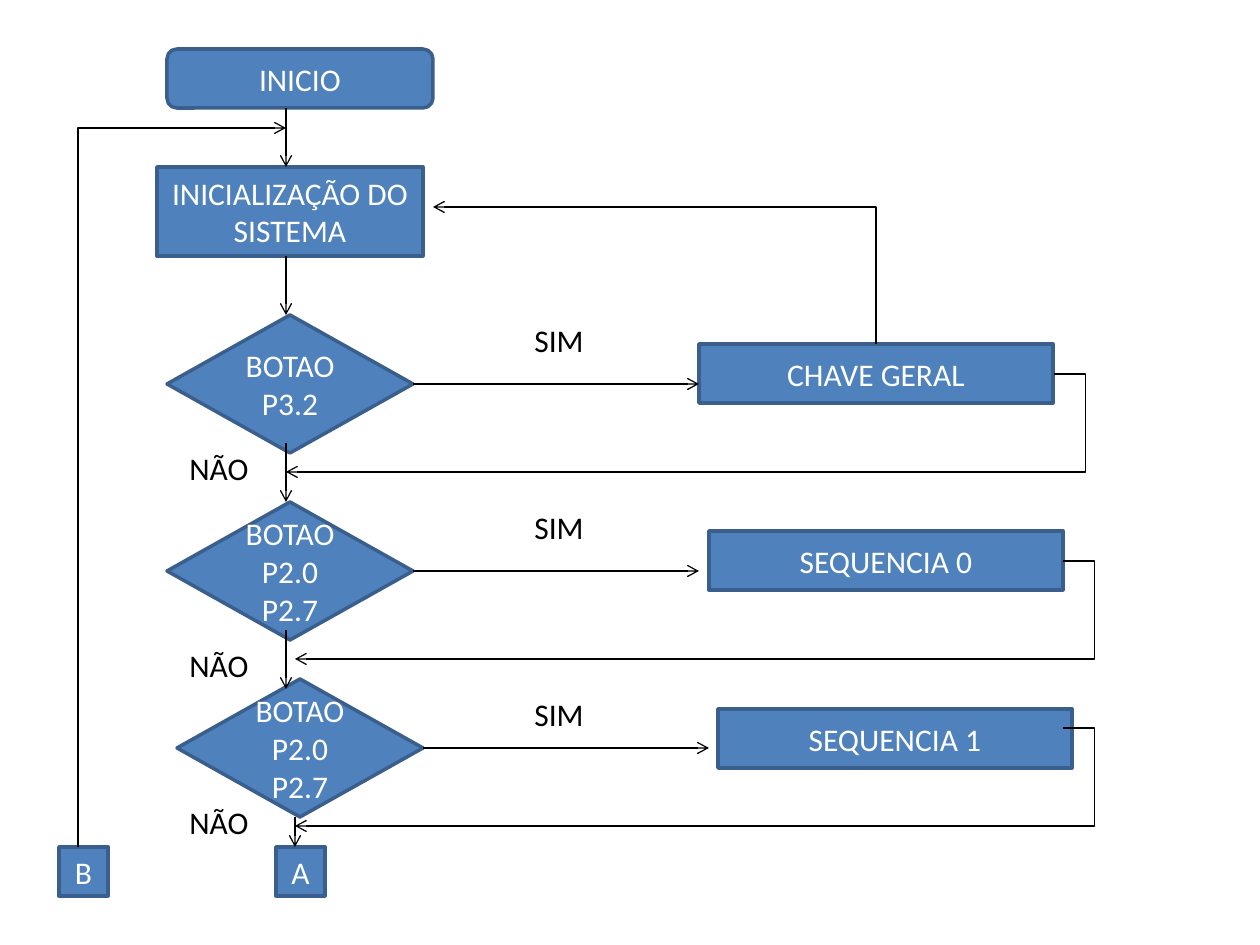
"""Build the flowchart slide of a button-driven control sequence."""
from lxml.etree import SubElement
from pptx import Presentation
from pptx.dml.color import RGBColor
from pptx.enum.shapes import MSO_CONNECTOR as Connector, MSO_SHAPE as Shape
from pptx.enum.text import MSO_ANCHOR as Anchor, MSO_AUTO_SIZE as AutoSize, PP_ALIGN as Align
from pptx.oxml.ns import qn
from pptx.util import Pt

SCALE = 914400 / 126
BLUE = RGBColor(0x4F, 0x81, 0xBD)
DARK_BLUE = RGBColor(0x3A, 0x5F, 0x8C)
WHITE = RGBColor(0xFF, 0xFF, 0xFF)
BLACK = RGBColor(0, 0, 0)


def emu(*pixels):
    return [round(pixel * SCALE) for pixel in pixels]


def write_text(shape, text, color=BLACK, align=Align.LEFT, anchor=Anchor.TOP):
    frame = shape.text_frame
    frame.word_wrap = True
    frame.vertical_anchor = anchor
    paragraph = frame.paragraphs[0]
    paragraph.alignment = align
    run = paragraph.add_run()
    run.text = text
    run.font.name = "Calibri"
    run.font.size = Pt(18)
    run.font.color.rgb = color


def add_box(slide, kind, text, left, top, width, height):
    shape = slide.shapes.add_shape(kind, *emu(left, top, width, height))
    shape.shadow.inherit = False
    shape.fill.solid()
    shape.fill.fore_color.rgb = BLUE
    shape.line.color.rgb = DARK_BLUE
    shape.line.width = Pt(2)
    write_text(shape, text, color=WHITE, align=Align.CENTER, anchor=Anchor.MIDDLE)


def add_label(slide, text, left, top, width):
    label = slide.shapes.add_textbox(*emu(left, top, width, 50))
    write_text(label, text)
    label.text_frame.auto_size = AutoSize.SHAPE_TO_FIT_TEXT


def add_arrow(slide, start, end, kind=Connector.STRAIGHT, arrow_end="tailEnd"):
    connector = slide.shapes.add_connector(kind, *emu(*start, *end))
    connector.line.color.rgb = BLACK
    connector.line.width = Pt(0.75)
    properties = connector._element.spPr
    SubElement(properties.find(qn("a:ln")), qn(f"a:{arrow_end}"), type="arrow")
    SubElement(properties, qn("a:effectLst"))
    return connector._element.spPr.find(qn("a:prstGeom"))


def add_return_loop(slide, start, end):
    geometry = add_arrow(slide, start, end, kind=Connector.ELBOW)
    adjustments = geometry.find(qn("a:avLst"))
    if adjustments is None:
        adjustments = SubElement(geometry, qn("a:avLst"))
    SubElement(adjustments, qn("a:gd"), name="adj1", fmla="val -4100")


def add_corner_arrow(slide, tip, origin):
    geometry = add_arrow(slide, tip, origin, kind=Connector.ELBOW, arrow_end="headEnd")
    geometry.set("prst", "bentConnector2")


def main():
    presentation = Presentation()
    presentation.slide_width, presentation.slide_height = emu(1260, 945)
    slide = presentation.slides.add_slide(presentation.slide_layouts[6])

    add_box(slide, Shape.ROUNDED_RECTANGLE, "INICIO", 167, 49, 266, 59)
    add_box(slide, Shape.RECTANGLE, "INICIALIZAÇÃO DO SISTEMA", 157, 167, 266, 89)
    for text, left, top in (("BOTAO P3.2", 167, 315), ("BOTAO P2.0 P2.7", 167, 502),
                            ("BOTAO P2.0 P2.7", 177, 679)):
        add_box(slide, Shape.DIAMOND, text, left, top, 246, 138)
    for text, left, top in (("CHAVE GERAL", 699, 344), ("SEQUENCIA 0", 709, 531),
                            ("SEQUENCIA 1", 718, 709)):
        add_box(slide, Shape.RECTANGLE, text, left, top, 354, 59)
    for text, left in (("A", 276), ("B", 59)):
        add_box(slide, Shape.RECTANGLE, text, left, 847, 49, 49)

    for left, top, bottom in ((286, 108, 167), (286, 256, 315), (286, 443, 502),
                              (286, 630, 689), (295, 817, 847)):
        add_arrow(slide, (left, top), (left, bottom))
    for left, top in ((413, 384), (413, 571), (423, 748)):
        add_arrow(slide, (left, top), (left + 286, top))
    for left, top in ((286, 374), (295, 561), (295, 728)):
        add_return_loop(slide, (left + 768, top), (left, top + 98))
    add_corner_arrow(slide, (286, 128), (78, 847))
    add_corner_arrow(slide, (433, 207), (876, 344))

    for top in (315, 502, 689):
        add_label(slide, "SIM", 522, top, 79)
    for top, width in ((443, 128), (640, 88), (797, 88)):
        add_label(slide, "NÃO", 177, top, width)

    presentation.save("out.pptx")


main()
